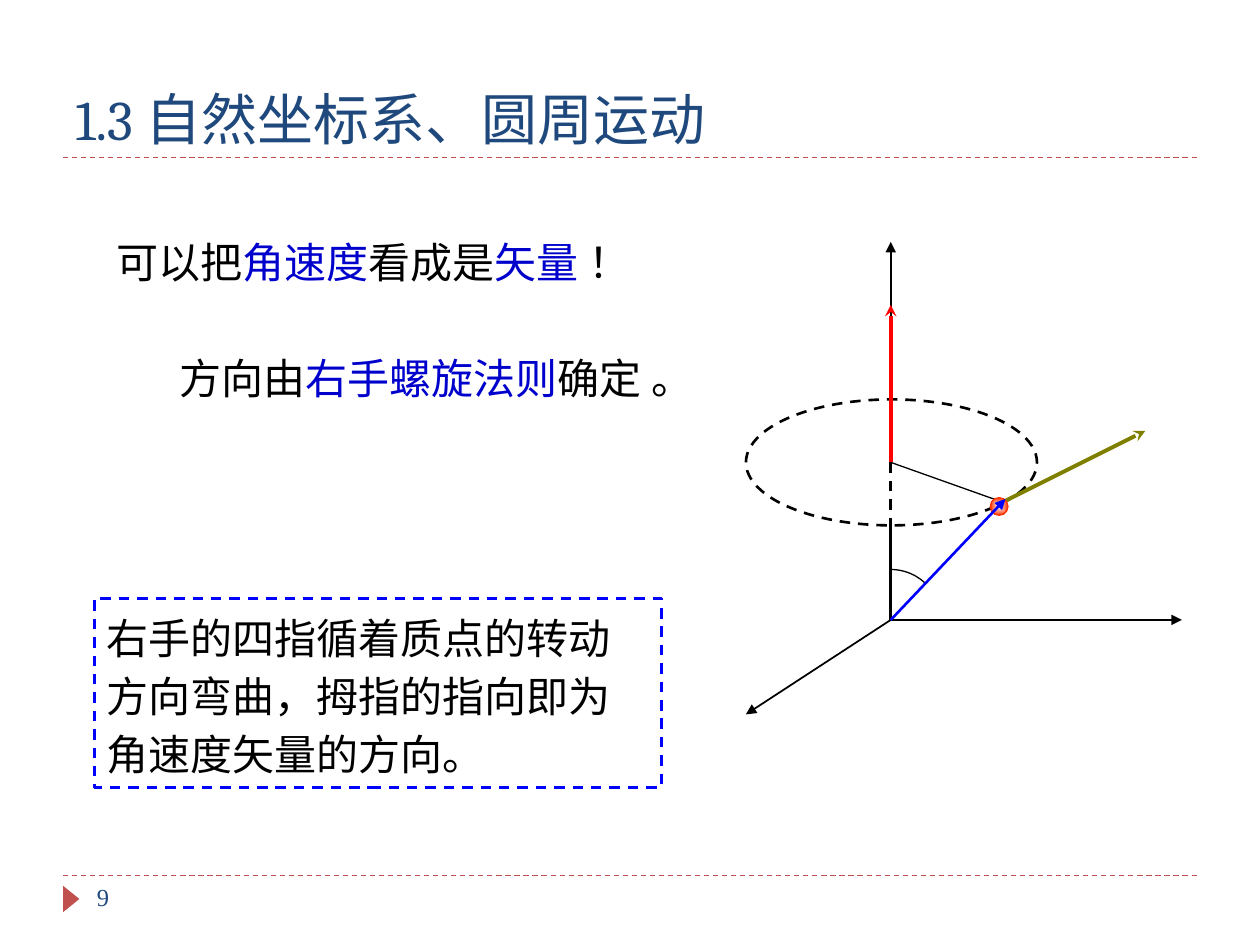
import pptx
import pptx.util
import pptx.dml.color
import pptx.enum.dml
import pptx.enum.shapes
import pptx.enum.text
import pptx.oxml
import pptx.oxml.ns

Inches = pptx.util.Inches
Pt = pptx.util.Pt
RGB = pptx.dml.color.RGBColor
SHAPE = pptx.enum.shapes.MSO_SHAPE

BLACK = RGB(0x00, 0x00, 0x00)
NAVY = RGB(0x1F, 0x49, 0x7D)
BRICK = RGB(0xC0, 0x50, 0x4D)
INK = RGB(0x00, 0x00, 0xCC)
BLUE = RGB(0x00, 0x00, 0xFF)
RED = RGB(0xFF, 0x00, 0x00)
OLIVE = RGB(0x80, 0x80, 0x00)
FLAME = RGB(0xFF, 0x33, 0x00)

SERIF = "Times New Roman"
TITLE = [("1.3 自然坐标系、圆周运动", NAVY)]
NUMBER = [("9", NAVY)]
CLAIM = [("可以把", BLACK), ("角速度", INK), ("看成是", BLACK),
         ("矢量", INK), (" ！", BLACK)]
RULE = [("方向由", BLACK), ("右手螺旋法则", INK), ("确定 。", BLACK)]
HAND = [("右手的四指循着质点的转动方向弯曲，拇指的指向即为角速度矢量的方向。", BLACK)]

ORIGIN = (7.07, 4.92)
CENTER = (7.07, 3.67)
LOW = (7.07, 4.17)
ARC = 0.4
BALL = (7.93, 4.02)

TEXTS = [
    (TITLE, (0.5, 0.25, 9, 1), 32, "Cambria"),
    (NUMBER, (0.67, 6.95, 2.17, 0.4), 14, SERIF),
    (CLAIM, (0.83, 1.83, 4.67, 0.5), 24, SERIF),
    (RULE, (1.33, 2.75, 4.5, 0.5), 24, SERIF),
    (HAND, (0.75, 4.75, 4.5, 1.5), 24, SERIF),
]

FRAME = [((0.5, y), (9.5, y), BRICK, 0.75, True, None) for y in (6.95, 1.25)]
AXIS = [(CENTER, (7.07, 1.92), BLACK, 1, False, "triangle")]
VECTORS = [
    (CENTER, LOW, BLACK, 1.5, True, None),
    (LOW, ORIGIN, BLACK, 1.5, False, None),
    ((7.95, 3.99), (9.09, 3.42), OLIVE, 2.25, False, "stealth"),
    (CENTER, (7.97, 3.99), BLACK, 0.75, False, None),
    (CENTER, (7.07, 2.42), RED, 2.25, False, "stealth"),
    (ORIGIN, (5.92, 5.67), BLACK, 1, False, "triangle"),
    (ORIGIN, (9.38, 4.92), BLACK, 1, False, "triangle"),
]
RADIUS = [(ORIGIN, (7.98, 3.96), BLUE, 1.5, False, "triangle")]

GLOW = """<a:gradFill %s rotWithShape="1"><a:gsLst>
<a:gs pos="0"><a:srgbClr val="FFFFFF"/></a:gs>
<a:gs pos="100000"><a:srgbClr val="FF3300"/></a:gs></a:gsLst>
<a:path path="shape"><a:fillToRect l="50000" t="50000" r="50000" b="50000"/></a:path>
</a:gradFill>""" % pptx.oxml.ns.nsdecls("a")

deck = pptx.Presentation()
deck.slide_width, deck.slide_height = Inches(10), Inches(7.5)
slide = deck.slides.add_slide(deck.slide_layouts[6])


def stroke(line, color, width, dash=False):
    line.color.rgb = color
    line.width = Pt(width)
    if dash:
        line.dash_style = pptx.enum.dml.MSO_LINE.DASH


def element(tag):
    return pptx.oxml.parse_xml("<a:%s %s/>" % (tag, pptx.oxml.ns.nsdecls("a")))


def draw(rows):
    for start, end, color, width, dash, head in rows:
        line = slide.shapes.add_connector(
            pptx.enum.shapes.MSO_CONNECTOR.STRAIGHT,
            *map(Inches, start + end))
        stroke(line.line, color, width, dash)
        if head:
            tip = element("tailEnd")
            tip.set("type", head)
            line.line._get_or_add_ln().append(tip)
        line._element.spPr.append(element("effectLst"))


def figure(kind, box, color=None, width=0.75, dash=False):
    shape = slide.shapes.add_shape(kind, *map(Inches, box))
    shape.shadow.inherit = False
    shape.fill.background()
    if color is None:
        shape.line.fill.background()
    else:
        stroke(shape.line, color, width, dash)
    return shape


def around(point, half):
    return point[0] - half, point[1] - half, 2 * half, 2 * half


def write(runs, box, size, font):
    label = slide.shapes.add_textbox(*map(Inches, box))
    frame = label.text_frame
    frame.word_wrap = True
    para = frame.paragraphs[0]
    for words, color in runs:
        run = para.add_run()
        run.text = words
        run.font.size = Pt(size)
        run.font.name = font
        run.font.color.rgb = color
    return label


draw(FRAME)
mark = figure(SHAPE.ISOSCELES_TRIANGLE, (0.46, 7.07, 0.21, 0.13))
mark.rotation = 90
mark.fill.solid()
mark.fill.fore_color.rgb = BRICK

labels = [write(*row) for row in TEXTS]
labels[0].text_frame.vertical_anchor = pptx.enum.text.MSO_ANCHOR.BOTTOM
labels[-1].text_frame.paragraphs[0].line_spacing = 1.15
stroke(labels[-1].line, BLUE, 1.5, True)

draw(AXIS)
figure(SHAPE.OVAL, (5.92, 3.17, 2.31, 1), BLACK, 1.5, True)
draw(VECTORS)
arc = figure(SHAPE.ARC, around(ORIGIN, ARC), BLACK)
for i, angle in enumerate((270, 313)):
    arc.adjustments[i] = angle * 0.6
ball = figure(SHAPE.OVAL, around(BALL, 0.07), FLAME)
props = ball._element.spPr
props.replace(props.find(pptx.oxml.ns.qn("a:noFill")), pptx.oxml.parse_xml(GLOW))
draw(RADIUS)

deck.save("out.pptx")
